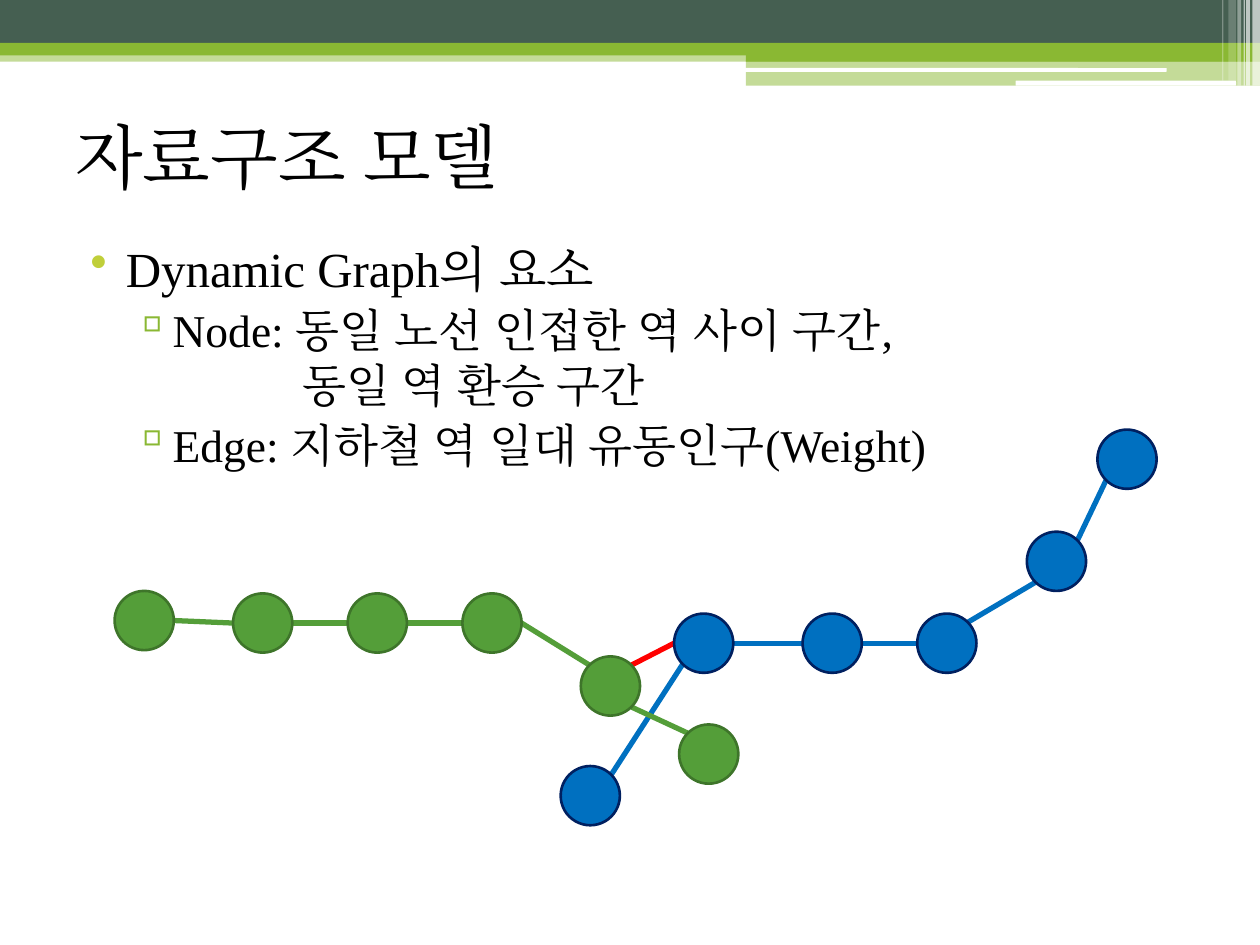
import math
from dataclasses import dataclass
from typing import NamedTuple

from lxml import etree
from pptx import Presentation
from pptx import util as u
from pptx.dml.color import RGBColor
from pptx.enum import shapes, text
from pptx.oxml.ns import qn

COLS, ROWS = 100, 75


@dataclass(frozen=True)
class Theme:
    font: str = "Times New Roman"
    ink: str = "000000"
    dark: str = "455F51"
    lime: str = "8AB833"
    white: str = "FFFFFF"
    bullet: str = "C0CF3A"
    green: str = "549E39"
    green_edge: str = "3E752A"
    blue: str = "0070C0"
    blue_edge: str = "002060"
    transfer: str = "FF0000"
    title: int = 40
    body: int = 28
    sub: int = 26
    node_line: float = 1.5
    link_line: float = 3


class Box(NamedTuple):
    col: float
    row: float
    cols: float
    rows: float


class Band(NamedTuple):
    box: Box
    color: str
    alpha: int = 100
    shape: shapes.MSO_SHAPE = shapes.MSO_SHAPE.RECTANGLE


class Station(NamedTuple):
    col: float
    row: float


class Link(NamedTuple):
    start: Station
    start_angle: int
    end: Station
    end_angle: int
    color: str


class Para(NamedTuple):
    runs: tuple[str, ...]
    size: int
    margin: float
    hang: float = 0
    bullet: str = ""
    bullet_color: str = ""
    before: float = 3


T = Theme()
NODE = 4.7
E, SE, S, SW, W, NW, N, NE = range(0, 360, 45)

prs = Presentation()
prs.slide_width, prs.slide_height = u.Inches(10), u.Inches(7.5)
slide = prs.slides.add_slide(prs.slide_layouts[6])


def x(cols: float) -> int:
    return round(prs.slide_width * cols / COLS)


def y(rows: float) -> int:
    return round(prs.slide_height * rows / ROWS)


def place(box: Box) -> tuple[int, int, int, int]:
    return x(box.col), y(box.row), x(box.cols), y(box.rows)


def add_filled(shape: shapes.MSO_SHAPE, box: Box, color: str):
    sp = slide.shapes.add_shape(shape, *place(box))
    sp.shadow.inherit = False
    sp.fill.solid()
    sp.fill.fore_color.rgb = RGBColor.from_string(color)
    return sp


def add_band(band: Band) -> None:
    sp = add_filled(band.shape, band.box, band.color)
    sp.line.fill.background()
    if band.alpha < 100:
        clr = sp.fill._xPr.find(".//" + qn("a:srgbClr"))
        etree.SubElement(clr, qn("a:alpha"), val=str(band.alpha * 1000))


def add_station(station: Station, color: str, edge: str) -> None:
    sp = add_filled(shapes.MSO_SHAPE.OVAL, Box(*station, NODE, NODE), color)
    sp.line.color.rgb = RGBColor.from_string(edge)
    sp.line.width = u.Pt(T.node_line)


def rim(station: Station, angle: int) -> tuple[int, int]:
    a, r = math.radians(angle), NODE / 2
    return x(station.col + r + r * math.cos(a)), y(station.row + r + r * math.sin(a))


def add_link(link: Link) -> None:
    line = slide.shapes.add_connector(
        shapes.MSO_CONNECTOR.STRAIGHT,
        *rim(link.start, link.start_angle), *rim(link.end, link.end_angle))
    line.line.color.rgb = RGBColor.from_string(link.color)
    line.line.width = u.Pt(T.link_line)
    etree.SubElement(line._element.spPr, qn("a:effectLst"))


def add_text(box: Box, paras: list[Para], anchor: text.MSO_ANCHOR) -> None:
    tf = slide.shapes.add_textbox(*place(box)).text_frame
    tf.word_wrap = True
    tf.vertical_anchor = anchor
    for i, para in enumerate(paras):
        p = tf.add_paragraph() if i else tf.paragraphs[0]
        p.space_before = u.Pt(para.before)
        pPr = p._p.get_or_add_pPr()
        pPr.set("marL", str(x(para.margin)))
        pPr.set("indent", str(-x(para.hang)))
        if para.bullet:
            clr = etree.SubElement(pPr, qn("a:buClr"))
            etree.SubElement(clr, qn("a:srgbClr"), val=para.bullet_color)
            etree.SubElement(pPr, qn("a:buChar"), char=para.bullet)
        for words in para.runs:
            r = p.add_run()
            r.text = words
            r.font.size = u.Pt(para.size)
            r.font.name = T.font
            r.font.color.rgb = RGBColor.from_string(T.ink)
            etree.SubElement(r._r.get_or_add_rPr(), qn("a:ea"), typeface=T.font)


ROUND = shapes.MSO_SHAPE.ROUNDED_RECTANGLE
bands = [
    Band(Box(0, 4, 100, 0.9), T.lime, 50),
    Band(Box(0, 0, 100, 3.4), T.dark),
    Band(Box(0, 3.4, 100, 1), T.lime),
    Band(Box(59.2, 3.9, 40.8, 1), T.lime),
    Band(Box(59.2, 4.8, 40.8, 2), T.lime, 50),
    Band(Box(59.1, 5.4, 33.5, 0.3), T.white, shape=ROUND),
    Band(Box(80.6, 6.4, 17.5, 0.4), T.white, shape=ROUND),
]
stripes = [(99.4, 0.6, 6.8, 65), (98.9, 0.3, 6.8, 65), (98.7, 0.1, 6.8, 60),
           (98.2, 0.3, 6.8, 40), (97.5, 0.6, 6.4, 20), (97, 0.1, 6.4, 30)]
bands += [Band(Box(col, 0, cols, rows), T.white, alpha)
          for col, cols, rows, alpha in stripes]

green = [Station(9.1, 46.9), *(Station(18.5 + 9.1 * i, 47.1) for i in range(3)),
         Station(46.1, 52.1), Station(53.9, 57.5)]
blue = [Station(44.5, 60.8), Station(53.5, 48.7), Station(63.7, 48.7),
        Station(72.8, 48.7), Station(81.5, 42.2), Station(87.1, 34.1)]
green_sides = [(E, W), (E, W), (E, W), (E, NW), (SE, NW)]
blue_sides = [(NE, SW), (E, W), (E, W), (NE, SW), (NE, SW)]


def route(stations: list[Station], sides: list[tuple[int, int]], color: str) -> list[Link]:
    return [Link(a, out, b, into, color)
            for a, b, (out, into) in zip(stations, stations[1:], sides)]


for band in bands:
    add_band(band)

add_text(Box(5, 6.5, 90, 11.7), [Para(("자료구조 모델",), T.title, 0, before=0)],
         text.MSO_ANCHOR.MIDDLE)
add_text(Box(5, 18.4, 90, 53.5), [
    Para(("Dynamic Graph", "의 요소"), T.body, 4, 2.8, "•", T.bullet),
    Para(("Node: ", "동일 노선 인접한 역 사이 구간,"), T.sub, 7.2, 2.7, "▫", T.lime),
    Para(("동일 역 환승 구간",), T.sub, 18, before=0),
    Para(("Edge: ", "지하철 역 일대 유동인구", "(Weight)"), T.sub, 7.2, 2.7, "▫", T.lime),
], text.MSO_ANCHOR.TOP)

for link in (route(blue, blue_sides, T.blue) + route(green, green_sides, T.green)
             + [Link(green[4], NE, blue[1], W, T.transfer)]):
    add_link(link)
for station in green:
    add_station(station, T.green, T.green_edge)
for station in blue:
    add_station(station, T.blue, T.blue_edge)

prs.save("out.pptx")
